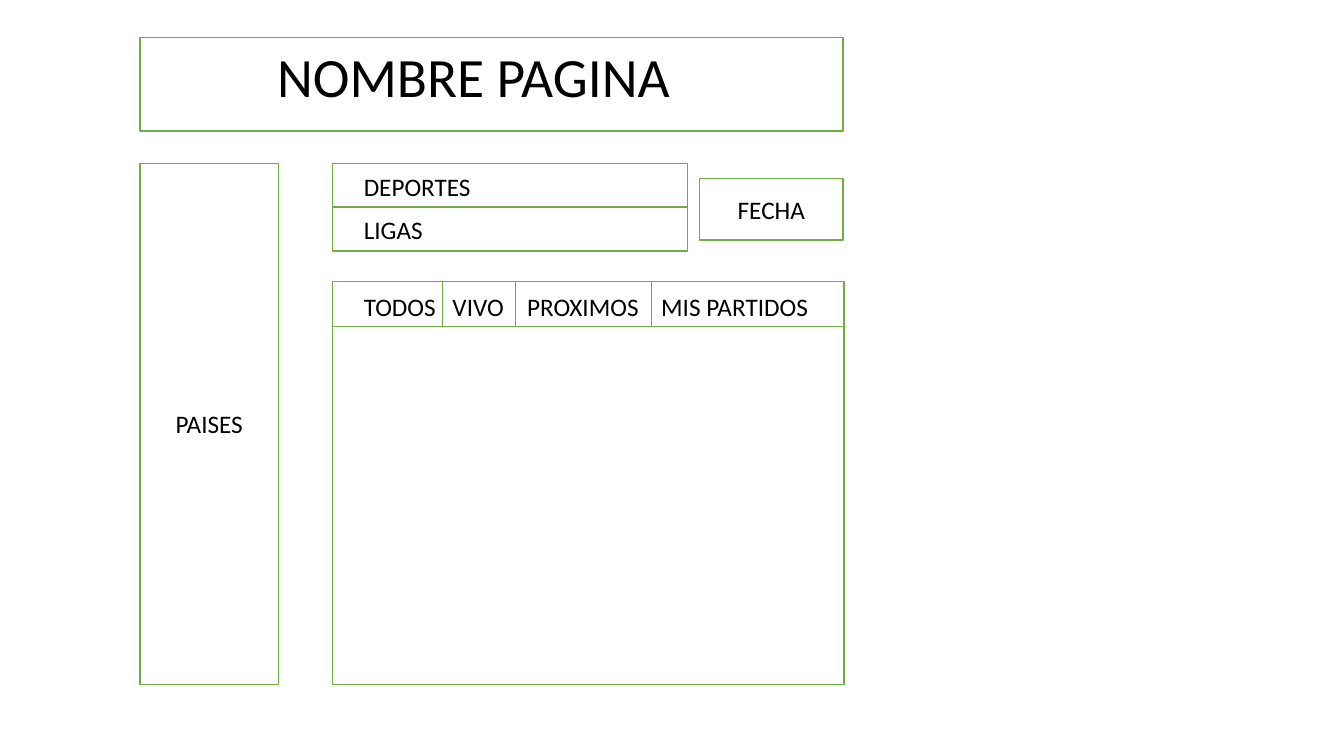
import pptx
import pptx.util
from pptx.dml.color import RGBColor
from pptx.enum.shapes import MSO_CONNECTOR, MSO_SHAPE
from pptx.enum.text import MSO_ANCHOR, PP_ALIGN
from pptx.oxml.ns import qn
from pptx.util import Inches, Pt
from lxml import etree

GREEN = RGBColor(0x70, 0xAD, 0x47)
BLUE = RGBColor(0x5B, 0x9B, 0xD5)
WHITE = RGBColor(0xFF, 0xFF, 0xFF)
BLACK = RGBColor(0x00, 0x00, 0x00)
FONT = "Calibri"
BODY_SIZE = 18

# (left, top, width, height) in inches
HEADER = (1.39, 0.37, 6.97, 0.93)
COUNTRIES = (1.39, 1.62, 1.37, 5.17)
FILTERS = (3.3, 1.62, 3.52, 0.87)
DATE = (6.94, 1.77, 1.42, 0.61)
MATCHES = (3.3, 2.79, 5.07, 4)

TITLE = "NOMBRE PAGINA"
FILTER_LABELS = [("DEPORTES", 1.65), ("LIGAS", 2.08)]
TABS = ["TODOS", "VIVO", "PROXIMOS", "MIS PARTIDOS"]
TAB_STARTS = [0.88, 1.62, 2.95]
TAB_DIVIDERS = [(4.39, GREEN), (5.11, BLUE), (6.46, GREEN)]
TAB_BAR_BOTTOM = 3.24
LABEL_LEFT = 3.51

prs = pptx.Presentation()
prs.slide_width, prs.slide_height = Inches(13.33), Inches(7.5)
slide = prs.slides.add_slide(prs.slide_layouts[6])


def write(shape, text, size=BODY_SIZE, align=PP_ALIGN.LEFT, anchor=MSO_ANCHOR.TOP):
    frame = shape.text_frame
    frame.word_wrap = True
    frame.vertical_anchor = anchor
    paragraph = frame.paragraphs[0]
    paragraph.text = text
    paragraph.alignment = align
    for run in paragraph.runs:
        run.font.name = FONT
        run.font.size = Pt(size)
        run.font.color.rgb = BLACK
    return paragraph


def add_panel(box, text=None):
    panel = slide.shapes.add_shape(MSO_SHAPE.RECTANGLE, *map(Inches, box))
    panel.shadow.inherit = False
    panel.fill.solid()
    panel.fill.fore_color.rgb = WHITE
    panel.line.color.rgb = GREEN
    panel.line.width = Pt(1)
    if text:
        write(panel, text, align=PP_ALIGN.CENTER, anchor=MSO_ANCHOR.MIDDLE)
    return panel


def add_label(box, text, **style):
    return write(slide.shapes.add_textbox(*map(Inches, box)), text, **style)


def add_rule(x1, y1, x2, y2, color, width):
    rule = slide.shapes.add_connector(
        MSO_CONNECTOR.STRAIGHT, *map(Inches, (x1, y1, x2, y2)))
    rule.line.color.rgb = color
    rule.line.width = Pt(width)
    etree.SubElement(rule._element.spPr, qn("a:effectLst"))
    return rule


add_panel(HEADER)
title = add_label((2.65, 0.44, 10, 0.69), TITLE, size=39.6, anchor=MSO_ANCHOR.MIDDLE)
title.line_spacing = 0.9

add_panel(COUNTRIES, "PAISES")
add_panel(DATE, "FECHA")

filters = add_panel(FILTERS)
left, top, width, height = FILTERS
middle = top + height / 2
filter_rule = add_rule(left, middle, left + width, middle, GREEN, 1)
filter_rule.begin_connect(filters, 1)
filter_rule.end_connect(filters, 3)
for label, label_top in FILTER_LABELS:
    add_label((LABEL_LEFT, label_top, 1.74, 0.4), label)

add_panel(MATCHES)
left, top, width, height = MATCHES
add_rule(left, TAB_BAR_BOTTOM, left + width, TAB_BAR_BOTTOM, GREEN, 0.5)
tab_bar = add_label((LABEL_LEFT, 2.84, 4.63, 0.4), "\t".join(TABS))
tab_list = etree.SubElement(tab_bar._p.get_or_add_pPr(), qn("a:tabLst"))
for start in TAB_STARTS:
    etree.SubElement(tab_list, qn("a:tab"), pos=str(Inches(start)), algn="l")
for x, color in TAB_DIVIDERS:
    add_rule(x, top, x, TAB_BAR_BOTTOM, color, 0.5)

prs.save("out.pptx")
